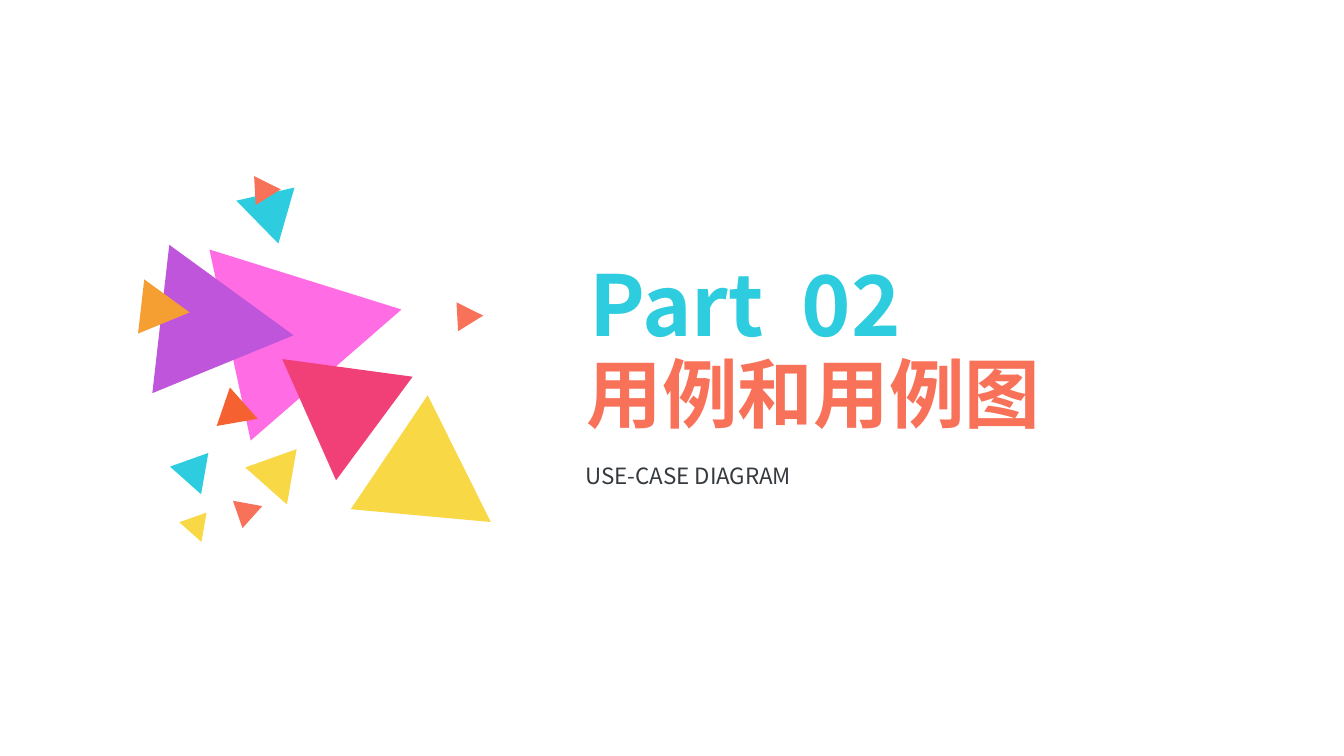
from dataclasses import dataclass

from lxml import etree
from pptx import Presentation
from pptx.dml.color import RGBColor
from pptx.enum.text import MSO_ANCHOR, MSO_AUTO_SIZE, PP_ALIGN
from pptx.oxml.ns import qn
from pptx.shapes.base import BaseShape
from pptx.util import Cm, Pt

LEFT = PP_ALIGN.LEFT
MIDDLE = MSO_ANCHOR.MIDDLE
FIXED_SIZE = MSO_AUTO_SIZE.NONE

CYAN = RGBColor(0x2D, 0xCC, 0xDF)
PINK = RGBColor(0xFF, 0x6C, 0xE4)
PURPLE = RGBColor(0xBF, 0x55, 0xDB)
AMBER = RGBColor(0xF5, 0x9E, 0x32)
ORANGE = RGBColor(0xF5, 0x61, 0x30)
YELLOW = RGBColor(0xF8, 0xD8, 0x45)
CORAL = RGBColor(0xF7, 0x72, 0x58)
CRIMSON = RGBColor(0xF0, 0x40, 0x77)
CHARCOAL = RGBColor(0x35, 0x3A, 0x3E)

FONT = "Noto Sans CJK SC"
CORNERS = ((0, 1), (0.12, 0), (1, 0.61))  # fractions of width and height
HEIGHT_RATIO = 1.05


@dataclass(frozen=True)
class Triangle:
    """Position and width before turning, in centimetres; turn in degrees."""

    left: float
    top: float
    width: float
    turn: float
    color: RGBColor


TRIANGLES = (
    Triangle(5.92, 4.60, 1.39, 189.6, CYAN),
    Triangle(5.41, 5.59, 4.66, 341.3, PINK),
    Triangle(3.84, 6.17, 3.56, 0, PURPLE),
    Triangle(3.48, 7.04, 1.30, 0, AMBER),
    Triangle(5.56, 9.83, 0.97, 12.4, ORANGE),
    Triangle(4.47, 11.46, 0.97, 63.9, CYAN),
    Triangle(4.65, 12.95, 0.69, 63.9, YELLOW),
    Triangle(5.92, 12.47, 0.69, 334.3, CORAL),
    Triangle(6.43, 11.38, 1.30, 63.9, YELLOW),
    Triangle(9.45, 10.34, 3.28, 27.5, YELLOW),
    Triangle(6.73, 8.51, 3.07, 210, CRIMSON),
    Triangle(11.48, 7.57, 0.69, 350.4, CORAL),
    Triangle(6.38, 4.39, 0.69, 350.4, CORAL),
)


def draw_triangle(page, triangle: Triangle) -> None:
    height = triangle.width * HEIGHT_RATIO
    points = [
        (Cm(triangle.left + x * triangle.width), Cm(triangle.top + y * height))
        for x, y in CORNERS
    ]
    builder = page.shapes.build_freeform(*points[0])
    builder.add_line_segments(points[1:], close=True)
    shape = builder.convert_to_shape()
    shape.rotation = triangle.turn
    shape.shadow.inherit = False
    shape.fill.solid()
    shape.fill.fore_color.rgb = triangle.color
    shape.line.fill.background()


def place(box: BaseShape, left: float, top: float, width: float, height: float) -> None:
    box.left, box.top = Cm(left), Cm(top)
    box.width, box.height = Cm(width), Cm(height)


def write(box: BaseShape, text: str, *, size: float, color: RGBColor, bold: bool = False) -> None:
    frame = box.text_frame
    frame.word_wrap = True
    frame.auto_size = FIXED_SIZE
    frame.vertical_anchor = MIDDLE
    para = frame.paragraphs[0]
    para.alignment = LEFT
    para.space_before = Pt(0)
    span = para.add_run()
    span.text = text
    span.font.name = FONT
    span.font.size = Pt(size)
    span.font.bold = bold
    span.font.color.rgb = color
    east_asian = etree.SubElement(span.font._element, qn("a:ea"))
    east_asian.set("typeface", FONT)


def main() -> None:
    deck = Presentation()
    deck.slide_width, deck.slide_height = Cm(33.87), Cm(19.05)
    page = deck.slides.add_slide(deck.slide_layouts[0])

    for triangle in TRIANGLES:
        draw_triangle(page, triangle)

    part_number = page.shapes.add_textbox(0, 0, 0, 0)
    title = page.shapes.title
    subtitle = page.placeholders[1]

    place(part_number, 14.61, 6.22, 11.43, 2.82)
    place(title, 14.53, 8.59, 17.98, 2.57)
    place(subtitle, 14.50, 11.51, 16.81, 0.94)

    write(part_number, "Part  02", size=60, color=CYAN, bold=True)
    write(title, "用例和用例图", size=54, color=CORAL, bold=True)
    write(subtitle, "USE-CASE DIAGRAM", size=16, color=CHARCOAL)

    deck.save("out.pptx")


if __name__ == "__main__":
    main()
